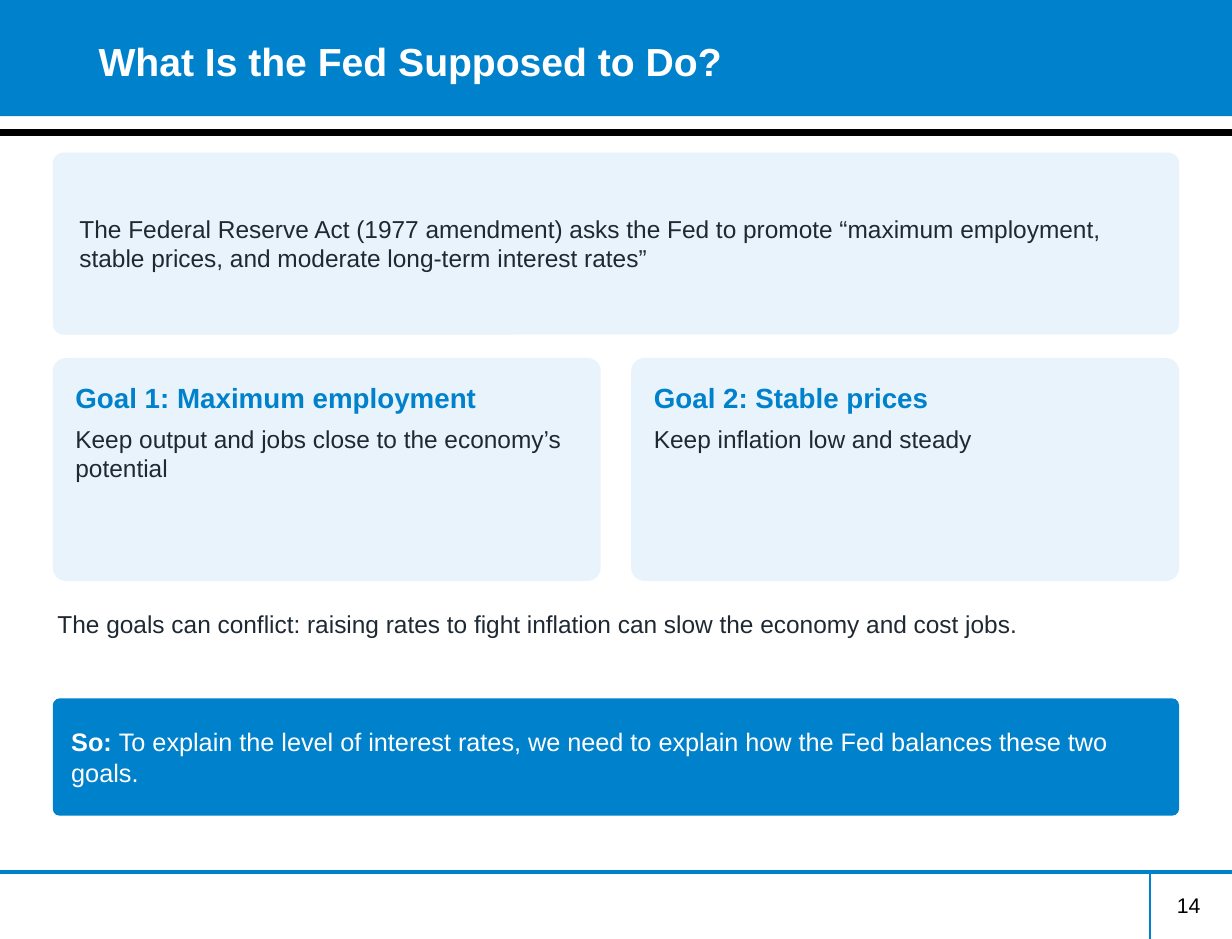
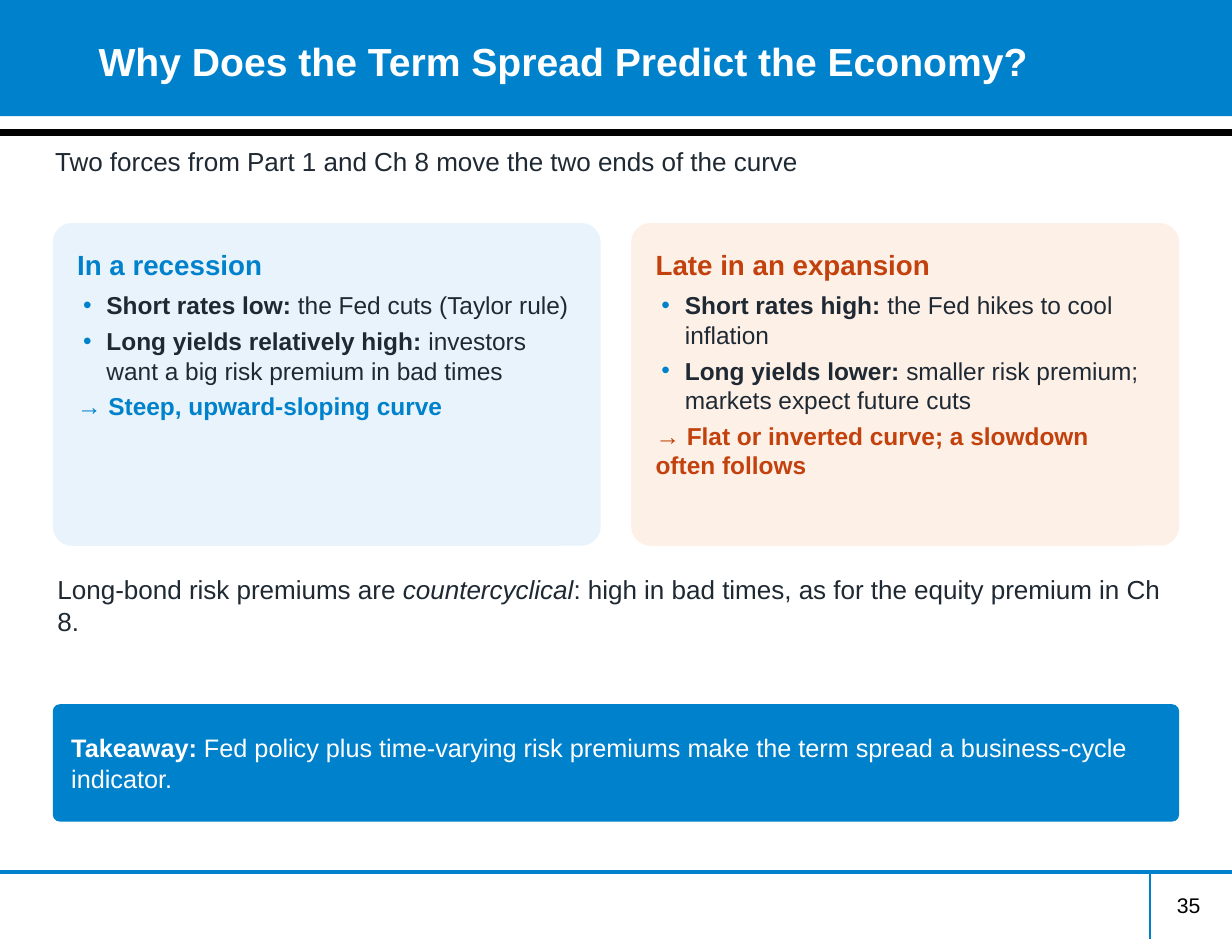
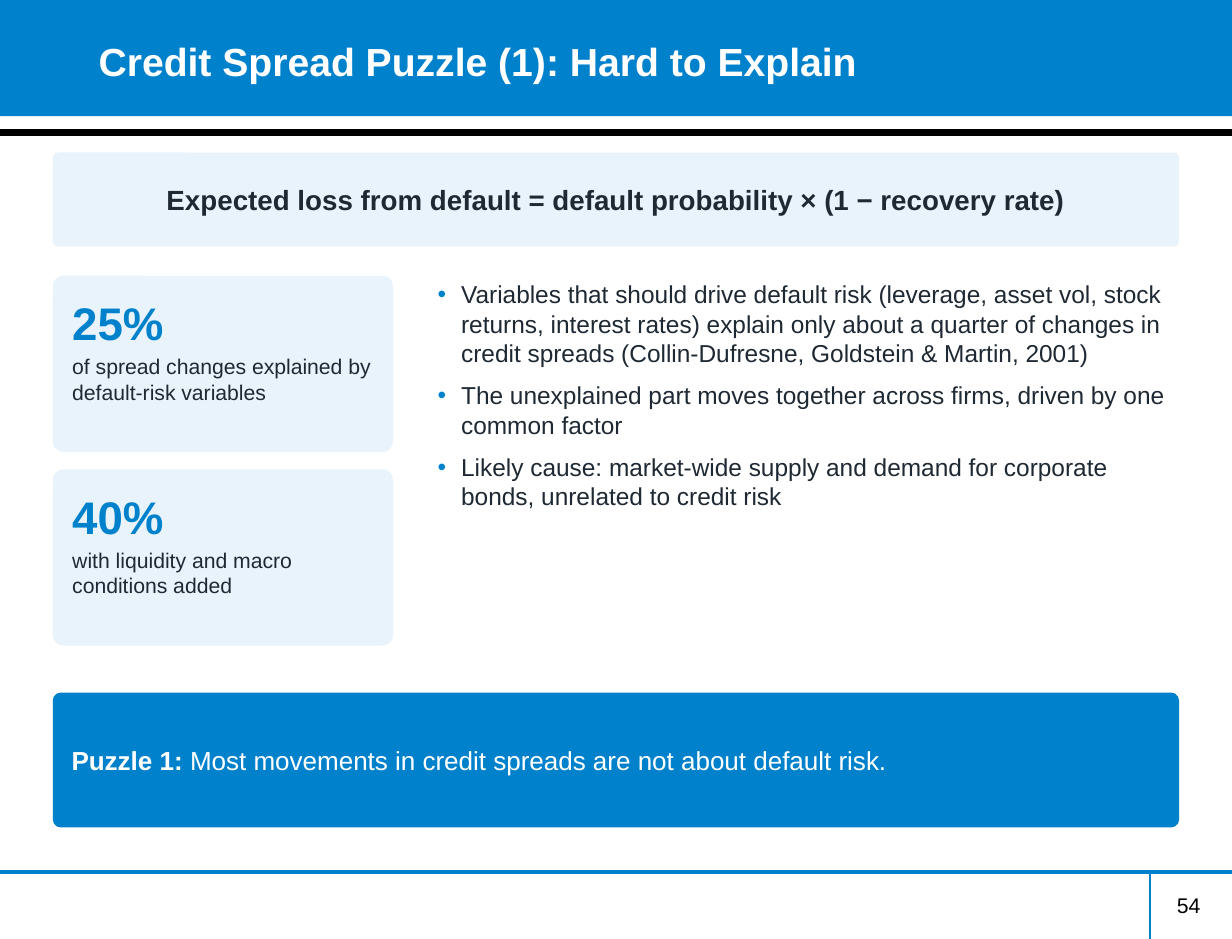
import dataclasses

import lxml.etree
import pptx
import pptx.dml.color
import pptx.enum.shapes
import pptx.enum.text
import pptx.oxml.ns
import pptx.util

Inches = pptx.util.Inches
Pt = pptx.util.Pt
ANCHOR = pptx.enum.text.MSO_ANCHOR
ALIGN = pptx.enum.text.PP_ALIGN
SHAPE = pptx.enum.shapes.MSO_SHAPE
qn = pptx.oxml.ns.qn


@dataclasses.dataclass(frozen=True)
class Theme:
    """Colours, type sizes and measures shared by every slide."""

    font: str = "Arial"
    blue: str = "0081CC"
    pale_blue: str = "E8F3FB"
    rust: str = "C2410C"
    pale_rust: str = "FDF0E7"
    ink: str = "1F2933"
    black: str = "000000"
    white: str = "FFFFFF"
    title: float = 24
    figure: float = 28
    heading: float = 17
    remark: float = 16
    takeaway: float = 15.5
    body: float = 15
    small: float = 13
    slide_width: float = 10.5
    slide_height: float = 8
    margin: float = 0.45
    gutter: float = 0.26
    corner: float = 0.06

    @property
    def content_width(self):
        """Return the width between the side margins."""
        return self.slide_width - 2 * self.margin

    @property
    def column_width(self):
        """Return the width of one of two equal columns."""
        return (self.content_width - self.gutter) / 2

    def column_left(self, index):
        """Return the left edge of a column."""
        return self.margin + index * (self.column_width + self.gutter)


THEME = Theme()


def rgb(code):
    """Turn a hex code into a colour."""
    return pptx.dml.color.RGBColor.from_string(code)


def add_bullet(paragraph):
    """Give a paragraph a hanging blue bullet."""
    properties = paragraph._p.get_or_add_pPr()
    properties.set("marL", str(Inches(0.25)))
    properties.set("indent", str(Inches(-0.2)))
    colour = lxml.etree.SubElement(properties, qn("a:buClr"))
    lxml.etree.SubElement(colour, qn("a:srgbClr")).set("val", THEME.blue)
    lxml.etree.SubElement(properties, qn("a:buFont")).set("typeface", THEME.font)
    lxml.etree.SubElement(properties, qn("a:buChar")).set("char", "•")


def write(frame, text, size=THEME.body, color=THEME.ink, bold=False, lead="",
          italic="", after=4, align=ALIGN.LEFT, bullet=False):
    """Add a paragraph, with an optional bold lead and one italic word."""
    paragraph = frame.paragraphs[0]
    if paragraph.runs:
        paragraph = frame.add_paragraph()
    if bullet:
        add_bullet(paragraph)
    paragraph.alignment = align
    paragraph.space_after = Pt(after)
    before, emphasis, rest = text.partition(italic) if italic else (text, "", "")
    pieces = ((lead, True, False), (before, bold, False),
              (emphasis, bold, True), (rest, bold, False))
    for words, is_bold, is_italic in pieces:
        if words:
            run = paragraph.add_run()
            run.text = words
            run.font.name = THEME.font
            run.font.size = Pt(size)
            run.font.bold = is_bold
            run.font.italic = is_italic
            run.font.color.rgb = rgb(color)


def prepare_frame(frame, inset, anchor):
    """Set wrapping, insets and anchor, and return the frame."""
    across, down = inset if isinstance(inset, tuple) else (inset, inset)
    frame.word_wrap = True
    frame.auto_size = pptx.enum.text.MSO_AUTO_SIZE.NONE
    frame.margin_left = frame.margin_right = Inches(across)
    frame.margin_top = frame.margin_bottom = Inches(down)
    frame.vertical_anchor = anchor
    return frame


def add_text_area(slide, left, top, width, height, inset, anchor=ANCHOR.TOP):
    """Add a text box and return its frame."""
    area = slide.shapes.add_textbox(
        Inches(left), Inches(top), Inches(width), Inches(height))
    return prepare_frame(area.text_frame, inset, anchor)


def add_panel(slide, left, top, width, height, fill=THEME.pale_blue, inset=0.16,
              anchor=ANCHOR.TOP, outline=SHAPE.ROUNDED_RECTANGLE):
    """Add a filled panel and return its frame."""
    panel = slide.shapes.add_shape(
        outline, Inches(left), Inches(top), Inches(width), Inches(height))
    if outline == SHAPE.ROUNDED_RECTANGLE:
        panel.adjustments[0] = THEME.corner
    panel.shadow.inherit = False
    panel.fill.solid()
    panel.fill.fore_color.rgb = rgb(fill)
    panel.line.fill.background()
    return prepare_frame(panel.text_frame, inset, anchor)


def add_rule(slide, start, end, color, weight):
    """Draw a straight rule between two points."""
    rule = slide.shapes.add_connector(
        pptx.enum.shapes.MSO_CONNECTOR.STRAIGHT,
        *(Inches(value) for value in start + end))
    rule.line.color.rgb = rgb(color)
    rule.line.width = Pt(weight)
    lxml.etree.SubElement(rule._element.spPr, qn("a:effectLst"))


def add_page(deck, title, number):
    """Add a slide with its title band, rules and page number."""
    slide = deck.slides.add_slide(deck.slide_layouts[6])
    width, height = THEME.slide_width, THEME.slide_height
    footer_top, divider = 7.43, 9.8
    add_panel(slide, 0, 0, width, 0.99, fill=THEME.blue, outline=SHAPE.RECTANGLE)
    add_rule(slide, (0, 1.13), (width, 1.13), THEME.black, 4)
    add_rule(slide, (0, footer_top), (width, footer_top), THEME.blue, 2)
    add_rule(slide, (divider, footer_top), (divider, height), THEME.blue, 1)
    heading = add_text_area(slide, 0.73, -0.15, 9.45, 1.33, (0.11, 0.05), ANCHOR.MIDDLE)
    write(heading, title, size=THEME.title, color=THEME.white, bold=True, after=0)
    page_number = add_text_area(slide, 7.89, 7.55, 2.45, 0.56, (0.11, 0.05))
    write(page_number, str(number), size=THEME.small, color=THEME.black,
          align=ALIGN.RIGHT, after=0)
    return slide


def add_remark(slide, top, height, text, inset=0.04, **style):
    """Add a full-width line of plain text."""
    write(add_text_area(slide, THEME.margin, top, THEME.content_width, height, inset),
          text, **style)


def add_statement(slide, height, text, inset, **style):
    """Add the full-width panel that opens a slide."""
    statement = add_panel(slide, THEME.margin, 1.3, THEME.content_width, height,
                          inset=inset, anchor=ANCHOR.MIDDLE)
    write(statement, text, **style)


def add_takeaway(slide, top, height, lead, text, size=THEME.takeaway):
    """Add the blue conclusion bar."""
    bar = add_panel(slide, THEME.margin, top, THEME.content_width, height,
                    fill=THEME.blue, inset=0.14, anchor=ANCHOR.MIDDLE)
    write(bar, text, lead=lead, size=size, color=THEME.white)


def add_column_card(slide, column, top, height, heading, accent=THEME.blue,
                    fill=THEME.pale_blue):
    """Add a headed card in one of two columns and return its frame."""
    card = add_panel(slide, THEME.column_left(column), top, THEME.column_width,
                     height, fill=fill)
    write(card, heading, size=THEME.heading, color=accent, bold=True, after=6)
    return card


def add_statistic(slide, top, figure, caption):
    """Add a card with a large figure and its caption."""
    card = add_panel(slide, THEME.margin, top, 2.9, 1.5, inset=0.14)
    write(card, figure, size=THEME.figure, color=THEME.blue, bold=True, after=2)
    write(card, caption, size=THEME.small)


def build_fed_goals(deck):
    """Build the slide on the goals of the Fed."""
    slide = add_page(deck, "What Is the Fed Supposed to Do?", 14)
    add_statement(slide, 1.55, "The Federal Reserve Act (1977 amendment) asks the Fed to "
                  "promote “maximum employment, stable prices, and moderate long-term "
                  "interest rates”", inset=0.2)
    goals = (
        ("Goal 1: Maximum employment",
         "Keep output and jobs close to the economy’s potential"),
        ("Goal 2: Stable prices", "Keep inflation low and steady"),
    )
    for column, (goal, meaning) in enumerate(goals):
        write(add_column_card(slide, column, 3.05, 1.9, goal), meaning)
    add_remark(slide, 5.15, 0.6, "The goals can conflict: raising rates to fight inflation "
               "can slow the economy and cost jobs.")
    add_takeaway(slide, 5.95, 1, "So: ", "To explain the level of interest rates, we need to "
                 "explain how the Fed balances these two goals.")


def build_term_spread(deck):
    """Build the slide on the term spread."""
    slide = add_page(deck, "Why Does the Term Spread Predict the Economy?", 35)
    add_remark(slide, 1.22, 0.5, "Two forces from Part 1 and Ch 8 move the two ends of the "
               "curve", inset=0.02, size=THEME.remark)
    phases = (
        ("In a recession", THEME.blue, THEME.pale_blue,
         (("Short rates low:", " the Fed cuts (Taylor rule)"),
          ("Long yields relatively high:",
           " investors want a big risk premium in bad times")),
         "→ Steep, upward-sloping curve"),
        ("Late in an expansion", THEME.rust, THEME.pale_rust,
         (("Short rates high:", " the Fed hikes to cool inflation"),
          ("Long yields lower:",
           " smaller risk premium; markets expect future cuts")),
         "→ Flat or inverted curve; a slowdown often follows"),
    )
    for column, (phase, accent, fill, forces, result) in enumerate(phases):
        card = add_column_card(slide, column, 1.9, 2.75, phase, accent, fill)
        for lead, reason in forces:
            write(card, reason, lead=lead, bullet=True)
        write(card, result, color=accent, bold=True)
    add_remark(slide, 4.85, 1, "Long-bond risk premiums are countercyclical: high in bad "
               "times, as for the equity premium in Ch 8.",
               italic="countercyclical", size=THEME.remark)
    add_takeaway(slide, 6, 1, "Takeaway: ", "Fed policy plus time-varying risk premiums make "
                 "the term spread a business-cycle indicator.")


def build_credit_puzzle(deck):
    """Build the slide on the credit spread puzzle."""
    slide = add_page(deck, "Credit Spread Puzzle (1): Hard to Explain", 54)
    add_statement(slide, 0.8, "Expected loss from default = default probability × "
                  "(1 − recovery rate)", inset=0.08, size=THEME.heading, bold=True,
                  align=ALIGN.CENTER)
    statistics = (
        ("25%", "of spread changes explained by default-risk variables"),
        ("40%", "with liquidity and macro conditions added"),
    )
    for row, (figure, caption) in enumerate(statistics):
        add_statistic(slide, 2.35 + row * 1.65, figure, caption)
    findings = add_text_area(slide, 3.6, 2.3, 6.45, 3.4, 0.08)
    for finding in (
        "Variables that should drive default risk (leverage, asset vol, stock returns, "
        "interest rates) explain only about a quarter of changes in credit spreads "
        "(Collin-Dufresne, Goldstein & Martin, 2001)",
        "The unexplained part moves together across firms, driven by one common factor",
        "Likely cause: market-wide supply and demand for corporate bonds, unrelated to "
        "credit risk",
    ):
        write(findings, finding, bullet=True, after=8)
    add_takeaway(slide, 5.9, 1.15, "Puzzle 1: ", "Most movements in credit spreads are not "
                 "about default risk.", size=THEME.remark)


def main():
    """Build and save the deck."""
    deck = pptx.Presentation()
    deck.slide_width = Inches(THEME.slide_width)
    deck.slide_height = Inches(THEME.slide_height)
    build_fed_goals(deck)
    build_term_spread(deck)
    build_credit_puzzle(deck)
    deck.save("out.pptx")


if __name__ == "__main__":
    main()
